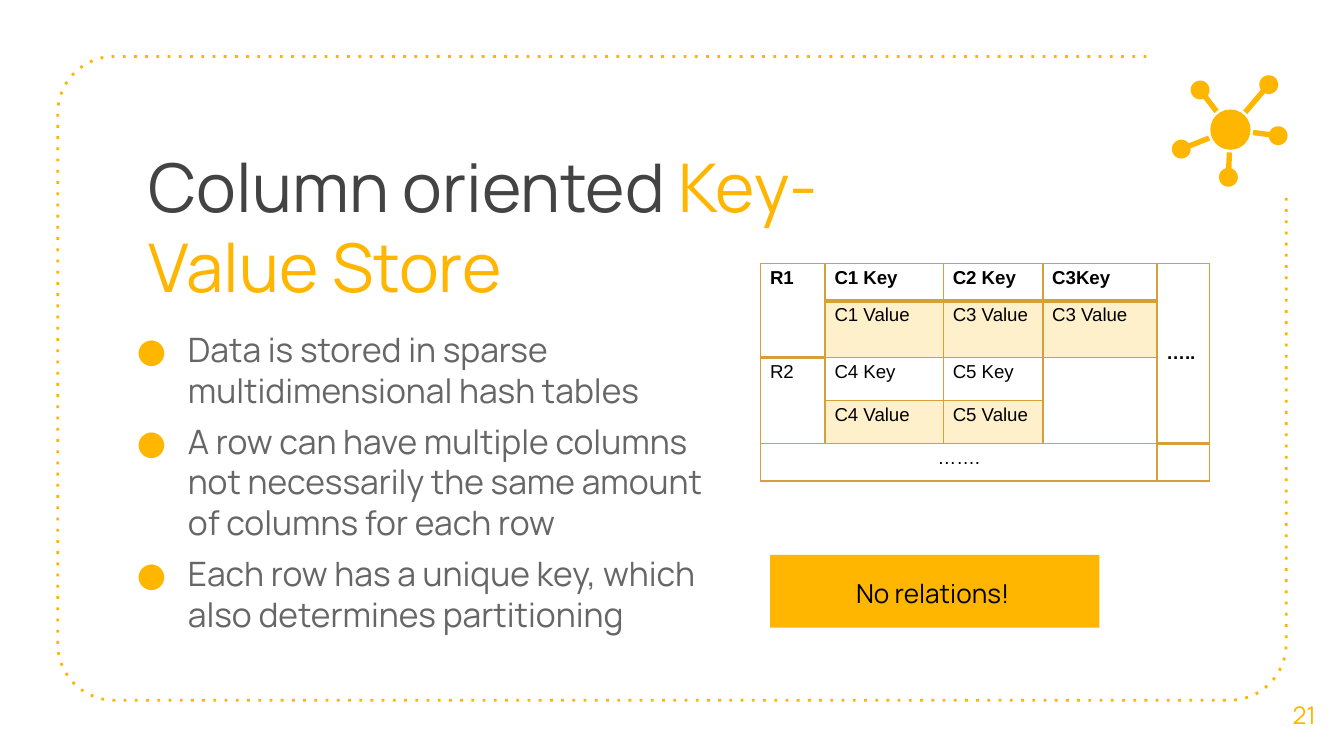
from dataclasses import dataclass
from math import asin, atan2, cos, pi, sin

from lxml import etree
from pptx import Presentation
from pptx import util as u
from pptx.dml import color
from pptx.enum import dml, shapes, text
from pptx.oxml import ns

Point = tuple[float, float]


@dataclass(frozen=True)
class Theme:
    gold: str = "FFB600"
    dark: str = "434343"
    gray: str = "666666"
    black: str = "000000"
    rule: str = "D89F39"
    face: str = "Manrope"
    grid: str = "Arial"
    head: int = 36
    body: int = 18
    note: int = 14
    page: int = 13
    cell: int = 10


@dataclass(frozen=True)
class Box:
    x: float
    y: float
    w: float
    h: float

    def emu(self) -> list[int]:
        return [u.Inches(v) for v in (self.x, self.y, self.w, self.h)]


@dataclass(frozen=True)
class Cell:
    row: int
    col: int
    text: str = ""
    bold: bool = False
    tint: bool = False
    down: int = 1
    wide: int = 1


T = Theme()
FRAME = Box(0.43, 0.42, 9.14, 4.79)
ROUND = 0.42
HUB = (9.155, 0.965)
DOTS = [(9.44, 0.63), (8.93, 0.67), (8.79, 1.11), (9.14, 1.32), (9.51, 1.01)]
POINTS = [
    "Data is stored in sparse multidimensional hash tables",
    "A row can have multiple columns not necessarily the same amount of columns for each row",
    "Each row has a unique key, which also determines partitioning",
]
COLS = [0.48, 0.88, 0.74, 0.85, 0.39]
ROWS = [0.28, 0.42, 0.32, 0.32, 0.28]
CELLS = [
    Cell(0, 0, "R1", bold=True, down=2),
    Cell(0, 1, "C1 Key", bold=True),
    Cell(0, 2, "C2 Key", bold=True),
    Cell(0, 3, "C3Key", bold=True),
    Cell(0, 4, "…..", bold=True, down=4),
    Cell(1, 1, "C1 Value", tint=True),
    Cell(1, 2, "C3 Value", tint=True),
    Cell(1, 3, "C3 Value", tint=True),
    Cell(2, 0, "R2", down=2),
    Cell(2, 1, "C4 Key"),
    Cell(2, 2, "C5 Key"),
    Cell(2, 3, down=2),
    Cell(3, 1, "C4 Value", tint=True),
    Cell(3, 2, "C5 Value", tint=True),
    Cell(4, 0, "…….", wide=4),
]


def style(run, size: int, tone: str, face: str = T.face, bold: bool = False) -> None:
    run.font.size, run.font.name, run.font.bold = u.Pt(size), face, bold
    run.font.color.rgb = color.RGBColor.from_string(tone)


def paint(shape) -> None:
    shape.shadow.inherit = False
    shape.fill.solid()
    shape.fill.fore_color.rgb = color.RGBColor.from_string(T.gold)
    shape.line.fill.background()


def add_text(slide, box: Box, top: float = 0.1):
    frame = slide.shapes.add_textbox(*box.emu()).text_frame
    frame.word_wrap = True
    frame.margin_left = frame.margin_right = frame.margin_bottom = u.Inches(0.1)
    frame.margin_top = u.Inches(top)
    return frame


def label(frame, words: str, size: int, tone: str) -> None:
    para = frame.paragraphs[0]
    para.text = words
    para.alignment = text.PP_ALIGN.CENTER
    frame.vertical_anchor = text.MSO_ANCHOR.MIDDLE
    style(para.runs[0], size, tone)


def arc(mid: Point, size: float, start: float, end: float, steps: int) -> list[Point]:
    turns = [start + (end - start) * i / steps for i in range(steps + 1)]
    return [(mid[0] + size * cos(a), mid[1] + size * sin(a)) for a in turns]


def trace(slide, spots: list[Point], close: bool):
    first, *rest = [(u.Inches(x), u.Inches(y)) for x, y in spots]
    pen = slide.shapes.build_freeform(*first)
    pen.add_line_segments(rest, close=close)
    return pen.convert_to_shape()


def add_frame(slide) -> None:
    left, right = FRAME.x + ROUND, FRAME.x + FRAME.w - ROUND
    top, base = FRAME.y + ROUND, FRAME.y + FRAME.h - ROUND
    spots = [(8.53, FRAME.y)]
    for i, mid in enumerate([(left, top), (left, base), (right, base)]):
        spots += arc(mid, ROUND, (3 - i) * pi / 2, (2 - i) * pi / 2, 16)
    shape = trace(slide, spots + [(FRAME.x + FRAME.w, 1.46)], False)
    shape.shadow.inherit = False
    shape.fill.background()
    shape.line.color.rgb = color.RGBColor.from_string(T.gold)
    shape.line.width = u.Pt(1.5)
    shape.line.dash_style = dml.MSO_LINE.ROUND_DOT
    shape.element.find(".//" + ns.qn("a:prstDash")).set("val", "dot")


def add_arm(slide, dot: Point, size: float = 0.07, half: float = 0.02, gap: float = 0.17) -> None:
    turn = atan2(HUB[1] - dot[1], HUB[0] - dot[0])
    notch = asin(half / size)
    tip = (HUB[0] - gap * cos(turn), HUB[1] - gap * sin(turn))
    ends = [(tip[0] - s * sin(turn), tip[1] + s * cos(turn)) for s in (-half, half)]
    paint(trace(slide, arc(dot, size, turn + notch, turn + 2 * pi - notch, 32) + ends, True))


def add_icon(slide) -> None:
    for dot in DOTS:
        add_arm(slide, dot)
    box = Box(HUB[0] - 0.15, HUB[1] - 0.15, 0.3, 0.3)
    paint(slide.shapes.add_shape(shapes.MSO_SHAPE.OVAL, *box.emu()))


def add_list(slide) -> None:
    frame = add_text(slide, Box(0.8, 1.96, 4.67, 3.06), top=0.49)
    for i, line in enumerate(POINTS):
        para = frame.paragraphs[0] if i == 0 else frame.add_paragraph()
        para.text = line
        para.space_before = u.Pt(6 if i else 0)
        style(para.runs[0], T.body, T.gray)
        props = para._p.get_or_add_pPr()
        props.set("marL", str(u.Inches(0.5)))
        props.set("indent", str(u.Inches(-0.38)))
        tone = etree.SubElement(props, ns.qn("a:buClr"))
        etree.SubElement(tone, ns.qn("a:srgbClr"), val=T.gold)
        etree.SubElement(props, ns.qn("a:buFont"), typeface=T.face)
        etree.SubElement(props, ns.qn("a:buChar"), char="●")


def edge(cell, thick: bool) -> None:
    props = cell._tc.get_or_add_tcPr()
    for i, side in enumerate(("lnL", "lnR", "lnT", "lnB")):
        width = u.Pt(2 if thick and side == "lnB" else 1)
        line = etree.Element(ns.qn("a:" + side), w=str(width))
        fill = etree.SubElement(line, ns.qn("a:solidFill"))
        etree.SubElement(fill, ns.qn("a:srgbClr"), val=T.rule)
        props.insert(i, line)


def fill_cell(cell, data: Cell) -> None:
    cell.margin_left = cell.margin_right = u.Inches(0.07)
    cell.margin_top = cell.margin_bottom = u.Inches(0.03)
    para = cell.text_frame.paragraphs[0]
    if data.text:
        para.text = data.text
        style(para.runs[0], T.cell, T.black, T.grid, data.bold)
    else:
        etree.SubElement(para._p, ns.qn("a:endParaRPr"), sz=str(T.cell * 100))
    if data.wide > 1:
        para.alignment = text.PP_ALIGN.CENTER
    if data.down == 4:
        cell.vertical_anchor = text.MSO_ANCHOR.MIDDLE
    cell.fill.background()
    if data.tint:
        cell.fill.solid()
        cell.fill.fore_color.rgb = color.RGBColor.from_string(T.gold)
        tone = cell._tc.find(".//" + ns.qn("a:tcPr") + "//" + ns.qn("a:srgbClr"))
        etree.SubElement(tone, ns.qn("a:alpha"), val="20000")
    edge(cell, data.row == 0)


def add_grid(slide) -> None:
    box = Box(5.66, 1.96, sum(COLS), sum(ROWS))
    table = slide.shapes.add_table(len(ROWS), len(COLS), *box.emu()).table
    table.first_row = table.horz_banding = False
    for col, size in zip(table.columns, COLS):
        col.width = u.Inches(size)
    for row, size in zip(table.rows, ROWS):
        row.height = u.Inches(size)
    known = {(c.row, c.col): c for c in CELLS}
    for row in range(len(ROWS)):
        for col in range(len(COLS)):
            fill_cell(table.cell(row, col), known.get((row, col), Cell(row, col)))
    for c in CELLS:
        if c.down > 1 or c.wide > 1:
            table.cell(c.row, c.col).merge(table.cell(c.row + c.down - 1, c.col + c.wide - 1))


def main() -> None:
    deck = Presentation()
    deck.slide_width, deck.slide_height = u.Inches(10), u.Inches(10 * 9 / 16)
    slide = deck.slides.add_slide(deck.slide_layouts[6])
    add_frame(slide)
    para = add_text(slide, Box(1.01, 0.98, 5.19, 1.4)).paragraphs[0]
    for words, tone in (("Column oriented ", T.dark), ("Key-Value Store", T.gold)):
        run = para.add_run()
        run.text = words
        style(run, T.head, tone)
    add_list(slide)
    label(add_text(slide, Box(9.41, 5.02, 0.59, 0.6)), "21", T.page, T.gold)
    badge = Box(5.73, 4.13, 2.45, 0.54)
    paint(slide.shapes.add_shape(shapes.MSO_SHAPE.RECTANGLE, *badge.emu()))
    label(add_text(slide, Box(5.65, 4.24, 2.62, 0.34)), "No relations! ", T.note, T.black)
    add_grid(slide)
    add_icon(slide)
    deck.save("out.pptx")


if __name__ == "__main__":
    main()
